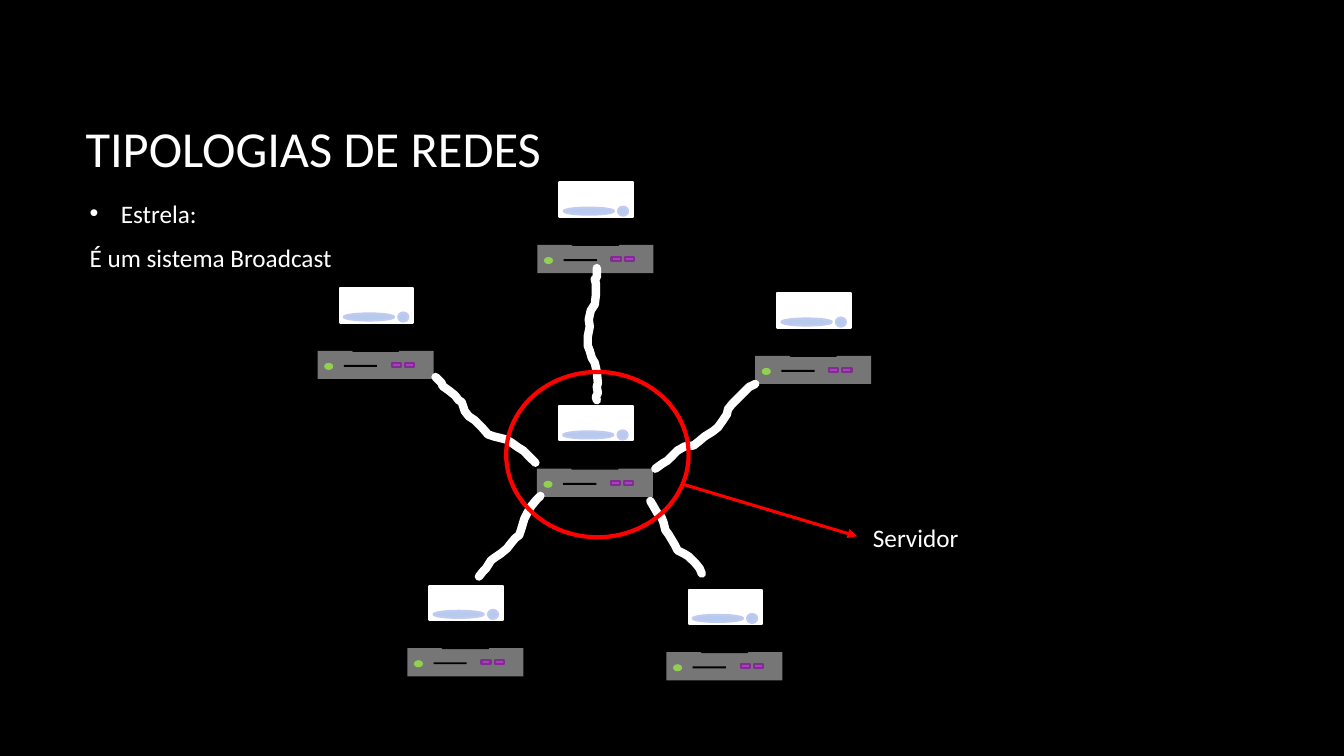
import dataclasses

import lxml.etree
import pptx
import pptx.dml.color
import pptx.enum.shapes
import pptx.enum.text
import pptx.oxml.ns
import pptx.util

SHAPE = pptx.enum.shapes.MSO_SHAPE
ANCHOR = pptx.enum.text.MSO_ANCHOR
COLUMNS, ROWS = 133.3, 75


@dataclasses.dataclass(frozen=True)
class Theme:
    """Colours, font and sizes of the slide."""
    font: str = "Calibri"
    title_size: float = 36
    text_size: float = 18
    background: str = "000000"
    text: str = "FFFFFF"
    cable: str = "FFFFFF"
    highlight: str = "FF0000"
    case: str = "767676"
    dark: str = "000000"
    screen: str = "FFFFFF"
    led: str = "92D050"
    port: str = "AC3EC1"
    port_edge: str = "7F2E8F"
    control: str = "B5CAED"
    control_edge: str = "C1CAF1"
    edge_width: float = 1.5
    cable_width: float = 6
    ring_width: float = 3
    arrow_width: float = 2.25


THEME = Theme()

COMPUTER_PARTS = [
    (SHAPE.RECTANGLE, (0, 0, 11.5, 2.8), THEME.case, None),
    (SHAPE.RECTANGLE, (1.4, -7, 8.7, 4.9), THEME.dark, None),
    (SHAPE.RECTANGLE, (2.2, -6.2, 7.3, 3.4), THEME.screen, THEME.screen),
    (SHAPE.RECTANGLE, (5.2, -2.1, 1, 0.8), THEME.dark, THEME.dark),
    (SHAPE.ROUND_2_SAME_RECTANGLE, (3.5, -1.3, 4.5, 1.3), THEME.dark, THEME.dark),
    (SHAPE.FLOWCHART_CONNECTOR, (0.65, 1.2, 0.9, 0.7), THEME.led, None),
    (SHAPE.RECTANGLE, (2.6, 1.4, 3.3, 0.2), THEME.dark, None),
    (SHAPE.RECTANGLE, (7.35, 1.2, 0.9, 0.4), THEME.port, THEME.port_edge),
    (SHAPE.RECTANGLE, (8.65, 1.2, 0.9, 0.4), THEME.port, THEME.port_edge),
    (SHAPE.FLOWCHART_CONNECTOR, (8, -3.8, 1, 0.9), THEME.control, THEME.control_edge),
    (SHAPE.FLOWCHART_CONNECTOR, (2.6, -3.7, 5, 0.7), THEME.control, THEME.control_edge),
]

SERVER = (53.25, 46.5)
CLIENTS = [(74.9, 35.3), (40.4, 64.3), (31.5, 34.8), (66.1, 64.7), (53.3, 24.3)]

CABLES = [
    [(59.2, 26.6), (59.2, 27.5), (59, 27.7), (59.1, 28.1), (59.1, 29.3), (59, 30.2),
     (58.6, 30.8), (58.4, 31.7), (58.5, 32.4), (58.3, 33.4), (58.3, 34.3),
     (58.5, 34.8), (58.7, 35.5), (59, 36), (59.2, 36.9), (59.3, 38), (59.2, 38.4),
     (59.3, 39), (59.1, 39.4), (59.2, 39.7)],
    [(43.2, 37.4), (43.8, 38), (43.9, 38.3), (44.6, 38.8), (45.1, 39.2), (45.5, 39.7),
     (45.8, 39.9), (46.1, 40.8), (46.5, 41.3), (47.1, 41.7), (47.8, 42.4),
     (48.4, 43.1), (49, 43.3), (50.2, 43.6), (50.7, 43.9), (51.4, 44.4),
     (51.9, 44.7), (52.6, 45.4), (53.1, 45.9)],
    [(47.5, 57.2), (47.9, 56.7), (48.2, 56.4), (48.7, 55.6), (49.1, 55.3),
     (49.7, 54.9), (50.3, 54.4), (50.6, 54), (51.1, 53.4), (51.5, 53.1),
     (51.7, 52.5), (52, 51.5), (52.3, 50.9), (52.7, 50.2), (53.2, 49.6),
     (53.6, 49.2)],
    [(64.5, 49.7), (64.8, 50.2), (65.2, 50.9), (65.6, 51.3), (65.8, 51.8),
     (66, 52.6), (66.3, 53), (66.9, 54), (67.2, 54.6), (67.8, 54.9), (68.3, 55.2),
     (68.7, 55.6), (69, 55.9), (69.4, 56.4), (69.6, 56.9)],
    [(65, 46.5), (65.7, 46), (66.2, 45.7), (66.6, 45.3), (67.2, 44.7), (67.9, 44.3),
     (68.8, 44.2), (69.3, 43.8), (69.9, 43.3), (70.7, 42.8), (71.2, 42.4),
     (71.7, 41.7), (72.1, 41.1), (72.2, 40.6), (72.6, 40.1), (73.2, 39.5),
     (73.9, 38.8), (74.3, 38.4), (74.9, 38.1)],
]


def grid(*cells):
    """Turn grid columns and rows, each a tenth of an inch, into lengths."""
    return [pptx.util.Inches(cell / 10) for cell in cells]


def rgb(code):
    """Return the colour for a hex code."""
    return pptx.dml.color.RGBColor.from_string(code)


def add_xml(parent, tag, **attributes):
    """Append a drawing element to a parent and return it."""
    return lxml.etree.SubElement(parent, pptx.oxml.ns.qn(tag), **attributes)


def set_line(element, color, width):
    """Colour and size an outline, or hide it when there is no colour."""
    if color is None:
        element.line.fill.background()
    else:
        element.line.color.rgb = rgb(color)
        element.line.width = pptx.util.Pt(width)


def add_preset(shapes, kind, box, fill=None, edge=None, width=THEME.edge_width):
    """Draw a preset shape in a grid box."""
    preset = shapes.add_shape(kind, *grid(*box))
    preset.shadow.inherit = False
    if fill is None:
        preset.fill.background()
    else:
        preset.fill.solid()
        preset.fill.fore_color.rgb = rgb(fill)
    set_line(preset, edge, width)


def add_text(shapes, text, box, size=THEME.text_size, anchor=ANCHOR.TOP, space_after=0, bullets=()):
    """Write lines of text in a grid box, with bullets on the given line numbers."""
    frame = shapes.add_textbox(*grid(*box)).text_frame
    frame.word_wrap = True
    frame.vertical_anchor = anchor
    frame.text = text
    for number, paragraph in enumerate(frame.paragraphs):
        paragraph.space_after = pptx.util.Pt(space_after)
        paragraph.font.name = THEME.font
        paragraph.font.size = pptx.util.Pt(size)
        paragraph.font.color.rgb = rgb(THEME.text)
        for run in paragraph.runs:
            run.font.name = THEME.font
            run.font.size = pptx.util.Pt(size)
            run.font.color.rgb = rgb(THEME.text)
        if number in bullets:
            add_bullet(paragraph)


def add_bullet(paragraph):
    """Give a paragraph a hanging round bullet."""
    indent = grid(3.1)[0]
    properties = paragraph._p.get_or_add_pPr()
    properties.set("marL", str(indent))
    properties.set("indent", str(-indent))
    bullet = pptx.oxml.ns.qn("a:buChar")
    marker = lxml.etree.Element(bullet, char="•")
    font = lxml.etree.Element(pptx.oxml.ns.qn("a:buFont"), typeface="Arial")
    defaults = properties.find(pptx.oxml.ns.qn("a:defRPr"))
    for element in (font, marker):
        if defaults is None:
            properties.append(element)
        else:
            defaults.addprevious(element)


def add_computer(shapes, corner):
    """Draw a computer as one group, placed by the corner of its case."""
    computer = shapes.add_group_shape()
    for kind, (column, row, width, height), fill, edge in COMPUTER_PARTS:
        box = (corner[0] + column, corner[1] + row, width, height)
        add_preset(computer.shapes, kind, box, fill, edge)


def add_cable(shapes, points):
    """Draw a loose cable with round ends through grid points."""
    start, *others = [grid(*point) for point in points]
    builder = shapes.build_freeform(*start)
    builder.add_line_segments(others, close=False)
    cable = builder.convert_to_shape()
    cable.shadow.inherit = False
    cable.fill.background()
    set_line(cable, THEME.cable, THEME.cable_width)
    outline = cable.line._get_or_add_ln()
    outline.set("cap", "rnd")
    add_xml(outline, "a:round")


def add_arrow(shapes, start, end):
    """Draw a straight arrow between two grid points."""
    straight = pptx.enum.shapes.MSO_CONNECTOR.STRAIGHT
    arrow = shapes.add_connector(straight, *grid(*start, *end))
    set_line(arrow, THEME.highlight, THEME.arrow_width)
    add_xml(arrow.line._get_or_add_ln(), "a:tailEnd", type="triangle")
    add_xml(arrow._element.spPr, "a:effectLst")


def main():
    """Build the star network slide and save it."""
    deck = pptx.Presentation()
    deck.slide_width, deck.slide_height = grid(COLUMNS, ROWS)
    slide = deck.slides.add_slide(deck.slide_layouts[6])
    slide.background.fill.solid()
    slide.background.fill.fore_color.rgb = rgb(THEME.background)
    shapes = slide.shapes
    add_text(shapes, "TIPOLOGIAS DE REDES", (7.5, 6.7, 110.8, 15.9),
             size=THEME.title_size, anchor=ANCHOR.MIDDLE)
    add_text(shapes, "Estrela:\nÉ um sistema Broadcast", (7.9, 3.4, 110.8, 39.9),
             anchor=ANCHOR.MIDDLE, space_after=10, bullets=(0,))
    for corner in CLIENTS + [SERVER]:
        add_computer(shapes, corner)
    for points in CABLES:
        add_cable(shapes, points)
    add_preset(shapes, SHAPE.FLOWCHART_CONNECTOR, (50.2, 36.9, 18.1, 16.4),
               edge=THEME.highlight, width=THEME.ring_width)
    add_arrow(shapes, (67.6, 48), (85, 53.2))
    add_text(shapes, "Servidor", (85.6, 51.3, 17.3, 4))
    deck.save("out.pptx")


if __name__ == "__main__":
    main()
